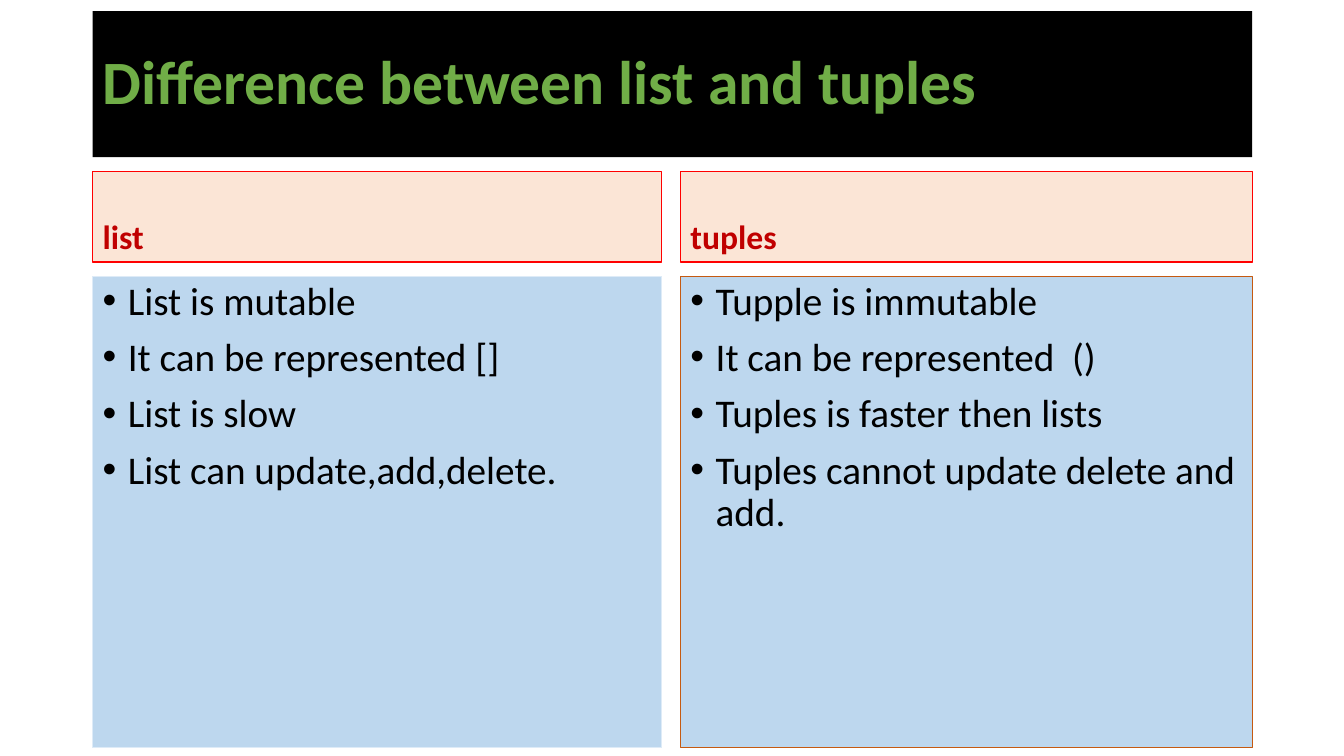
import pptx
import pptx.util
import pptx.dml.color
import pptx.enum.shapes
import pptx.enum.text
import lxml.etree
from pptx.oxml.ns import qn

TITLE = "Difference between list and tuples"
# heading, left, width, border of the body, points
SIDES = [
    ("list", 0.92, 5.64, "DEEBF7",
     ["List is mutable ", "It can be represented []", "List is slow",
      "List can update,add,delete."]),
    ("tuples", 6.75, 5.67, "C55A11",
     ["Tupple is immutable", "It can be represented  ()",
      "Tuples is faster then lists",
      "Tuples cannot update delete and add."]),
]
# top and height of each row
BANNER, HEAD, BODY = (0.11, 1.45), (1.7, 0.9), (2.74, 4.68)
LEFT, WIDTH = 0.92, 11.5
FONT = "Calibri"
Inch, Pt = pptx.util.Inches, pptx.util.Pt
Anchor = pptx.enum.text.MSO_ANCHOR


def color(code):
    """Turn a hex string into a colour."""
    return pptx.dml.color.RGBColor.from_string(code)


def bullet(para):
    """Give a paragraph a round bullet with a hanging indent."""
    props = para._p.get_or_add_pPr()
    props.set("marL", str(Inch(0.25)))
    props.set("indent", str(-Inch(0.25)))
    face = lxml.etree.SubElement(props, qn("a:buFont"))
    face.set("typeface", "Arial")
    lxml.etree.SubElement(props, qn("a:buChar")).set("char", "•")


def panel(slide, left, width, row, fill, line, lines, size, ink, anchor,
          bold=True, space=10, dots=False):
    """Draw a filled box that holds left-aligned lines of text."""
    top, height = row
    box = slide.shapes.add_shape(
        pptx.enum.shapes.MSO_SHAPE.RECTANGLE,
        Inch(left), Inch(top), Inch(width), Inch(height))
    box.shadow.inherit = False
    box.fill.solid()
    box.fill.fore_color.rgb = color(fill)
    if line:
        box.line.color.rgb = color(line)
        box.line.width = Pt(0.75)
    else:
        box.line.fill.background()
    frame = box.text_frame
    frame.word_wrap = True
    frame.vertical_anchor = anchor
    for i, text in enumerate(lines):
        para = frame.add_paragraph() if i else frame.paragraphs[0]
        para.alignment = pptx.enum.text.PP_ALIGN.LEFT
        para.line_spacing = 0.9
        para.space_before = Pt(space)
        if dots:
            bullet(para)
        run = para.add_run()
        run.text = text
        run.font.name = FONT
        run.font.size = Pt(size)
        run.font.bold = bold
        run.font.color.rgb = color(ink)


def main():
    """Build the slide and save it."""
    deck = pptx.Presentation()
    deck.slide_width, deck.slide_height = Inch(13.33), Inch(7.5)
    slide = deck.slides.add_slide(deck.slide_layouts[6])
    panel(slide, LEFT, WIDTH, BANNER, "000000", None, [TITLE], 44,
          "70AD47", Anchor.MIDDLE, space=0)
    for head, left, width, edge, points in SIDES:
        panel(slide, left, width, HEAD, "FBE5D6", "FF0000", [head], 24,
              "C00000", Anchor.BOTTOM)
        panel(slide, left, width, BODY, "BDD7EE", edge, points, 28,
              "000000", Anchor.TOP, bold=False, dots=True)
    deck.save("out.pptx")


main()
